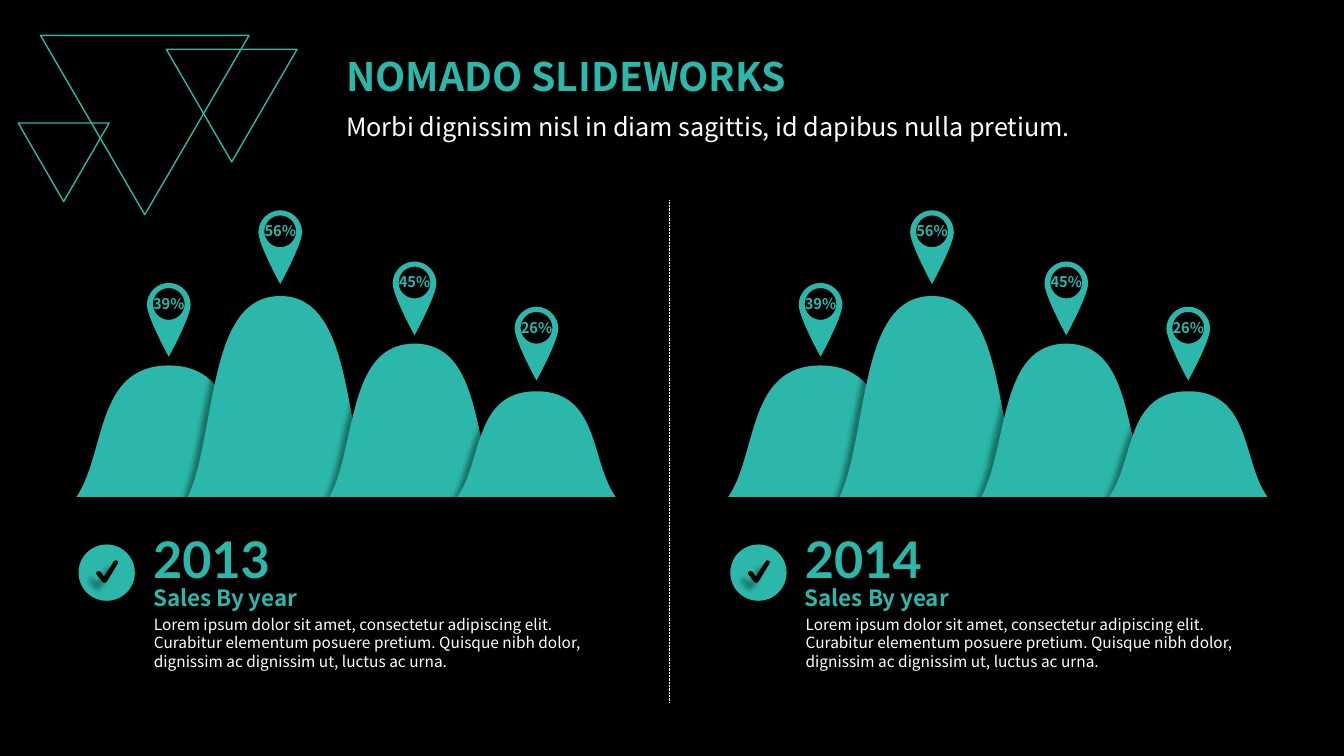
"""Build a slide comparing sales by year with hill diagrams, pins and captions."""
from lxml import etree
from pptx import Presentation
from pptx import util as u
from pptx.dml.color import RGBColor
from pptx.enum import dml, shapes, text
from pptx.oxml import ns

TEAL, WHITE, BLACK = "2BB8AA", "FFFFFF", "000000"
SANS, LATO = "Noto Sans CJK SC", "Lato"
BASE = 12.52
PANELS = [("2013", 0), ("2014", 16.43)]
HILLS = [
    ("39%", 1.93, 4.65, 3.31, 7.13),
    ("56%", 4.74, 4.65, 5.06, 5.3),
    ("45%", 8.31, 4.28, 3.86, 6.59),
    ("26%", 11.53, 3.99, 2.66, 7.73),
]
TRIANGLES = [(1.02, 0.89, 5.26, 4.52), (4.19, 1.24, 3.3, 2.84), (0.46, 3.1, 2.29, 1.98)]
HILL = [(0, 1), (0.16, 0.67), (0.1, 0), (0.5, 0), (0.9, 0), (0.84, 0.67), (1, 1)]
PIN = [(0, 0), (-0.3, 0), (-0.55, 0.25), (-0.55, 0.55), (-0.55, 0.86), (0, 1.86), (0, 1.86),
       (0, 1.86), (0.55, 0.86), (0.55, 0.55), (0.55, 0.25), (0.3, 0), (0, 0)]
HOLE = [(0, 0.93), (-0.22, 0.93), (-0.4, 0.75), (-0.4, 0.53), (-0.4, 0.31), (-0.22, 0.13),
        (0, 0.13), (0.22, 0.13), (0.4, 0.31), (0.4, 0.53), (0.4, 0.75), (0.22, 0.93), (0, 0.93)]
CHECK = [(0.66, 0.97), (0.61, 0.95), (0.46, 0.76), (0.44, 0.72), (0.46, 0.69), (0.51, 0.67),
         (0.56, 0.69), (0.64, 0.81), (0.89, 0.43), (0.93, 0.4), (0.97, 0.41), (1, 0.44),
         (0.99, 0.48), (0.71, 0.94)]
LOREM = ("Lorem ipsum dolor sit amet, consectetur adipiscing elit. Curabitur elementum posuere "
         "pretium. Quisque nibh dolor, dignissim ac dignissim ut, luctus ac urna.")


def rgb(c):
    """Turn a hex string into a colour."""
    return RGBColor.from_string(c)


def box(*lengths):
    """Turn centimetres into lengths."""
    return [u.Cm(v) for v in lengths]


def bend(sp):
    """Turn each three line segments of a freeform into one cubic curve."""
    segments = list(sp._element.iter(ns.qn("a:lnTo")))
    for i in range(0, len(segments), 3):
        cubic = etree.Element(ns.qn("a:cubicBezTo"))
        segments[i].addprevious(cubic)
        for seg in segments[i:i + 3]:
            cubic.append(seg[0])
            seg.getparent().remove(seg)


def solid(sp, colour):
    """Fill a shape, drop its outline and give it a soft shadow to the lower left."""
    sp.fill.solid()
    sp.fill.fore_color.rgb = rgb(colour)
    sp.line.fill.background()
    sp.shadow.inherit = False
    effects = sp._element.spPr.find(ns.qn("a:effectLst"))
    shadow = etree.SubElement(effects, ns.qn("a:outerShdw"), blurRad=str(u.Pt(4)),
                              dist=str(u.Pt(7)), dir="8100000", algn="tr", rotWithShape="0")
    clr = etree.SubElement(shadow, ns.qn("a:srgbClr"), val=BLACK)
    etree.SubElement(clr, ns.qn("a:alpha"), val="40000")


def outline(s, x, y, contours, colour, w=1, h=1, curved=True):
    """Draw a filled outline with its contours scaled and placed at x, y."""
    placed = [[box(x + px * w, y + py * h) for px, py in pts] for pts in contours]
    fb = s.shapes.build_freeform(*placed[0][0])
    fb.add_line_segments(placed[0][1:], close=True)
    for pts in placed[1:]:
        fb.move_to(*pts[0])
        fb.add_line_segments(pts[1:], close=True)
    sp = fb.convert_to_shape()
    if curved:
        bend(sp)
    solid(sp, colour)


def write(sp, words, size, colour, font=SANS, bold=False, align=text.PP_ALIGN.LEFT,
          anchor=text.MSO_ANCHOR.TOP, wrap=True, spacing=None):
    """Put one formatted paragraph into a shape."""
    tf = sp.text_frame
    tf.word_wrap, tf.vertical_anchor, tf.auto_size = wrap, anchor, text.MSO_AUTO_SIZE.NONE
    tf.margin_left = tf.margin_right = u.Cm(0.25)
    tf.margin_top = tf.margin_bottom = u.Cm(0.13)
    p = tf.paragraphs[0]
    p.text, p.alignment = words, align
    if spacing:
        p.line_spacing = u.Pt(spacing)
    f = p.font
    f.name, f.size, f.bold, f.color.rgb = font, u.Pt(size), bold, rgb(colour)


def label(s, at, words, size, colour, **style):
    """Add a text box."""
    write(s.shapes.add_textbox(*box(*at)), words, size, colour, **style)


def triangle(s, at):
    """Add an outlined triangle pointing down."""
    sp = s.shapes.add_shape(shapes.MSO_SHAPE.ISOSCELES_TRIANGLE, *box(*at))
    sp.rotation = 180
    sp.shadow.inherit = False
    sp.fill.background()
    sp.line.color.rgb, sp.line.width = rgb(TEAL), u.Pt(1)


def pin(s, x, y, percent):
    """Add a map pin with a percentage in its hole."""
    outline(s, x, y, [PIN, HOLE], TEAL)
    label(s, (x - 0.66, y + 0.16, 1.32, 0.71), percent, 10.5, TEAL, bold=True, wrap=False,
          align=text.PP_ALIGN.CENTER, anchor=text.MSO_ANCHOR.MIDDLE)


def panel(s, year, dx):
    """Add the hills, pins and caption of one year."""
    for percent, x, w, h, pin_top in HILLS:
        pin(s, x + dx + w / 2, pin_top, percent)
    for _, x, w, h, _ in HILLS:
        outline(s, x + dx, BASE - h, [HILL], TEAL, w, h)
    label(s, (3.63 + dx, 15.37, 11.81, 2.44), LOREM, 11, WHITE, spacing=13.2)
    label(s, (3.61 + dx, 13.18, 5.69, 1.52), year, 36, TEAL, font=LATO, bold=True)
    label(s, (3.61 + dx, 14.58, 5.94, 0.79), "Sales By year", 16, TEAL, bold=True, spacing=19.2)
    x, y = 1.98 + dx, 13.72
    solid(s.shapes.add_shape(shapes.MSO_SHAPE.OVAL, *box(x, y, 1.42, 1.42)), TEAL)
    outline(s, x, y, [CHECK], BLACK, curved=False)


def divider(s):
    """Add the dotted line between the panels."""
    ln = s.shapes.add_connector(shapes.MSO_CONNECTOR.STRAIGHT, *box(16.87, 5.05, 16.87, 17.7))
    ln.line.color.rgb, ln.line.width = rgb(WHITE), u.Pt(0.5)
    ln.line.dash_style = dml.MSO_LINE.ROUND_DOT
    etree.SubElement(ln._element.spPr, ns.qn("a:effectLst"))


def main():
    """Build and save the slide."""
    prs = Presentation()
    prs.slide_width, prs.slide_height = box(33.88, 19.05)
    s = prs.slides.add_slide(prs.slide_layouts[5])
    s.background.fill.solid()
    s.background.fill.fore_color.rgb = rgb(BLACK)
    for at in TRIANGLES:
        triangle(s, at)
    title = s.shapes.title
    title.left, title.top, title.width, title.height = box(8.48, 1.19, 14.45, 1.45)
    write(title, "NOMADO SLIDEWORKS", 28, TEAL, bold=True, anchor=text.MSO_ANCHOR.MIDDLE)
    label(s, (8.48, 2.67, 24, 1.02), "Morbi dignissim nisl in diam sagittis, id dapibus nulla pretium.",
          18, WHITE, anchor=text.MSO_ANCHOR.MIDDLE)
    for year, dx in PANELS:
        panel(s, year, dx)
    divider(s)
    prs.save("out.pptx")


if __name__ == "__main__":
    main()
